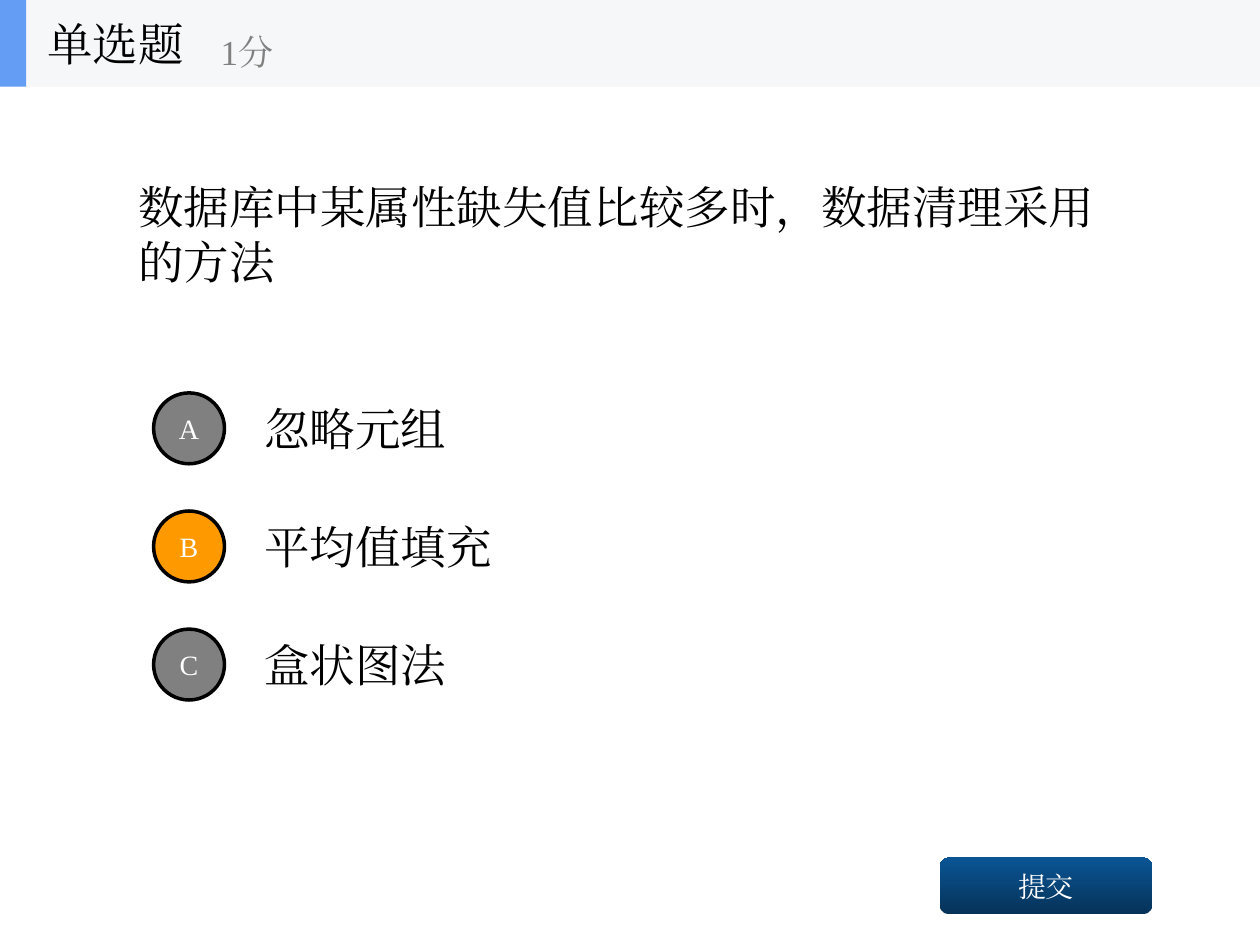
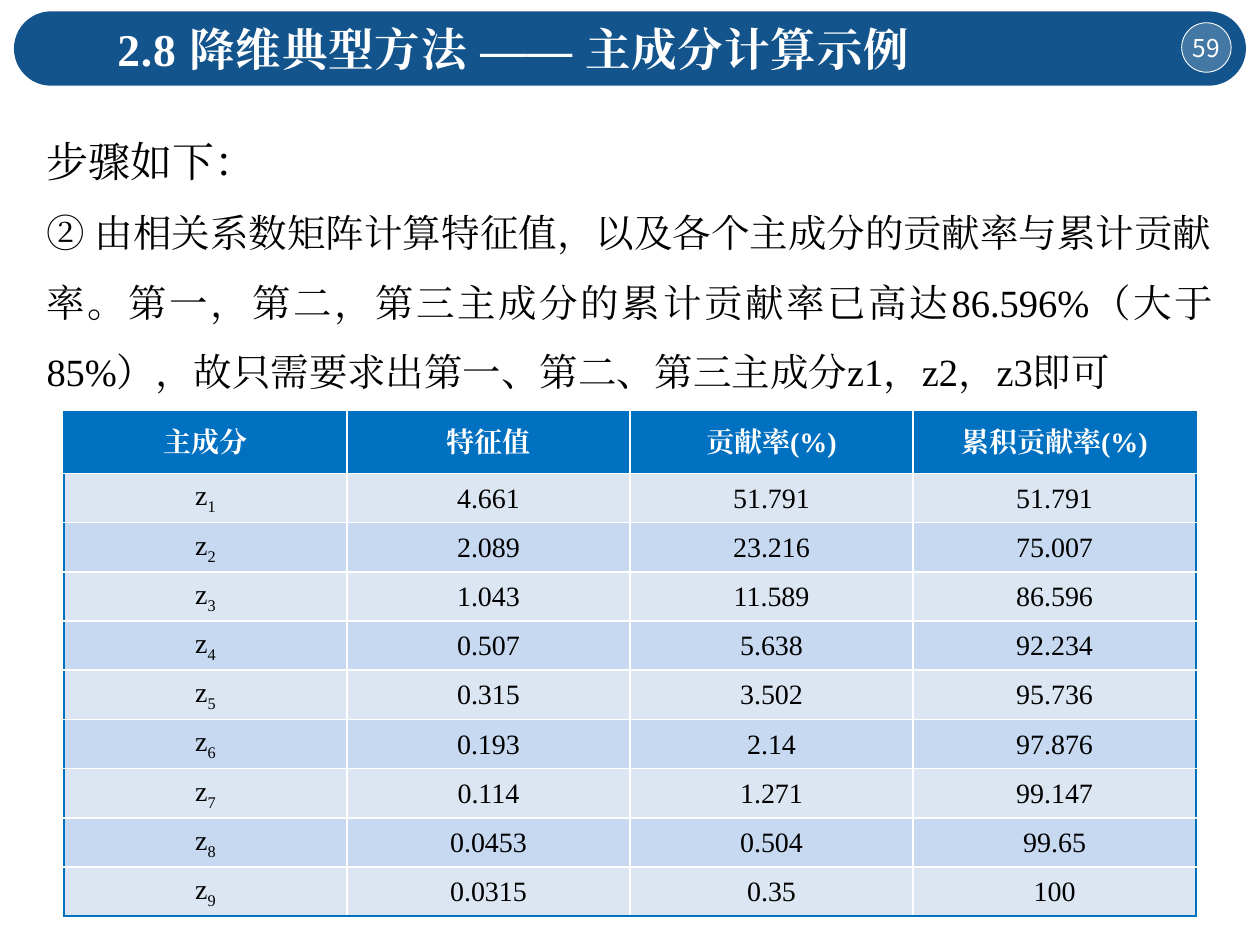
from lxml.etree import SubElement
from pptx import Presentation
from pptx.dml.color import RGBColor
from pptx.enum.lang import MSO_LANGUAGE_ID
from pptx.enum.shapes import MSO_SHAPE
from pptx.enum.text import MSO_ANCHOR, PP_ALIGN
from pptx.oxml import parse_xml
from pptx.oxml.ns import nsdecls, qn
from pptx.util import Pt

SERIF, SANS = "Times New Roman", "Noto Sans CJK SC"
BLACK, WHITE, GREY = "000000", "FFFFFF", "808080"
ORANGE, TABLE_BLUE, BAND_BLUE = "FF9900", "0070C0", "13548C"
STRIPES = ("DCE6F2", "C6D9F1")

QUESTION = "数据库中某属性缺失值比较多时，数据清理采用的方法"
OPTIONS = [("A", "忽略元组"), ("B", "平均值填充"), ("C", "盒状图法")]
ANSWER = "B"

TITLE = "2.8 降维典型方法 —— 主成分计算示例"
PAGE_NUMBER = "59"
STEPS = [
    ("步骤如下：", 24),
    ("② 由相关系数矩阵计算特征值，以及各个主成分的贡献率与累计贡献率。"
     "第一，第二，第三主成分的累计贡献率已高达86.596%（大于85%），"
     "故只需要求出第一、第二、第三主成分z1，z2，z3即可", 22),
]
HEADERS = ["主成分", "特征值", "贡献率(%)", "累积贡献率(%)"]
COMPONENTS = [
    ("4.661", "51.791", "51.791"),
    ("2.089", "23.216", "75.007"),
    ("1.043", "11.589", "86.596"),
    ("0.507", "5.638", "92.234"),
    ("0.315", "3.502", "95.736"),
    ("0.193", "2.14", "97.876"),
    ("0.114", "1.271", "99.147"),
    ("0.0453", "0.504", "99.65"),
    ("0.0315", "0.35", "100"),
]


def rgb(color):
    return RGBColor.from_string(color)


def add_span(para, text, size, color=BLACK, bold=False, font=SERIF):
    span = para.add_run()
    span.text = text
    span.font.size, span.font.bold, span.font.name = Pt(size), bold, font
    span.font.color.rgb = rgb(color)
    span.font.language_id = MSO_LANGUAGE_ID.SIMPLIFIED_CHINESE
    SubElement(span.font._element, qn("a:ea"), typeface=font)
    return span


def add_text(slide, area, text, size, color=BLACK, anchor=MSO_ANCHOR.MIDDLE, **style):
    box = slide.shapes.add_textbox(*map(Pt, area))
    box.text_frame.word_wrap = True
    box.text_frame.vertical_anchor = anchor
    return add_span(box.text_frame.paragraphs[0], text, size, color, **style)


def add_block(slide, kind, area, fill=None, line=None, line_width=1):
    block = slide.shapes.add_shape(kind, *map(Pt, area))
    block.shadow.inherit = False
    if fill:
        block.fill.solid()
        block.fill.fore_color.rgb = rgb(fill)
    if line:
        block.line.color.rgb = rgb(line)
        block.line.width = Pt(line_width)
    else:
        block.line.fill.background()
    return block


def add_label(block, text, size, font=SERIF):
    """Centre white text inside a block."""
    block.text_frame.vertical_anchor = MSO_ANCHOR.MIDDLE
    para = block.text_frame.paragraphs[0]
    para.alignment = PP_ALIGN.CENTER
    add_span(para, text, size, WHITE, font=font)


def set_borders(cell, colors):
    """Draw left, right, top and bottom borders in the given colours."""
    for place, (side, color) in enumerate(zip("LRTB", colors)):
        cell._tc.get_or_add_tcPr().insert(place, parse_xml(
            f'<a:ln{side} {nsdecls("a")} w="{Pt(1)}"><a:solidFill>'
            f'<a:srgbClr val="{color}"/></a:solidFill></a:ln{side}>'))


def build_quiz(slide):
    add_text(slide, (72, 49.5, 576, 168.5), QUESTION, 26)
    for index, (letter, answer) in enumerate(OPTIONS):
        top = 219.5 + index * 67.5
        add_text(slide, (144, top, 504, 50.5), answer, 26)
        badge = add_block(slide, MSO_SHAPE.OVAL, (87.75, top + 5, 40.5, 40.5),
                          ORANGE if letter == ANSWER else GREY, BLACK, 2)
        add_label(badge, letter, 16)

    button = add_block(slide, MSO_SHAPE.ROUNDED_RECTANGLE, (537, 490, 121.5, 32.5))
    button.fill.gradient()
    button.fill.gradient_angle = 90
    for stop, color in zip(button.fill.gradient_stops, ("063258", "0A5595")):
        stop.color.rgb = rgb(color)
    add_label(button, "提交", 16)

    add_block(slide, MSO_SHAPE.RECTANGLE, (0, 0, 720, 49.5), "F6F7F8")
    add_block(slide, MSO_SHAPE.RECTANGLE, (0, 0, 15, 49.5), "639EF4")
    add_text(slide, (20, 0, 150, 49.5), "单选题", 26)
    add_text(slide, (119, 9, 180, 40.5), "1分", 20, GREY)


def add_title_band(slide):
    band = add_block(slide, MSO_SHAPE.ROUNDED_RECTANGLE, (8, 6.5, 704, 42.5), BAND_BLUE)
    band.adjustments[0] = 0.5
    badge = add_block(slide, MSO_SHAPE.OVAL, (675.25, 13, 28.25, 28.25), WHITE, WHITE, 0.5)
    tint = badge.fill._xPr.find(qn("a:solidFill"))[0]
    SubElement(tint, qn("a:alpha"), val="21000")
    frame = badge.text_frame
    frame.margin_left = frame.margin_right = frame.margin_top = frame.margin_bottom = 0
    add_label(badge, PAGE_NUMBER, 14, SANS)
    title = add_text(slide, (60, 8.75, 582, 39), TITLE, 26, WHITE, MSO_ANCHOR.TOP, bold=True)
    title.font._element.set("spc", "50")


def add_steps(slide):
    box = slide.shapes.add_textbox(Pt(19.5), Pt(59.75), Pt(680.5), Pt(166.5))
    frame = box.text_frame
    frame.word_wrap = True
    for index, (text, size) in enumerate(STEPS):
        para = frame.add_paragraph() if index else frame.paragraphs[0]
        para.alignment = PP_ALIGN.JUSTIFY
        para.line_spacing = 1.5
        add_span(para, text, size)


def add_component_table(slide):
    rows = [HEADERS] + [(f"z{number}", *values)
                        for number, values in enumerate(COMPONENTS, 1)]
    last_row, last_column = len(rows) - 1, len(HEADERS) - 1
    table = slide.shapes.add_table(len(rows), len(HEADERS), Pt(36.5), Pt(235.25),
                                   Pt(647), Pt(288.5)).table
    for column in table.columns:
        column.width = Pt(161.75)
    for r, row in enumerate(rows):
        table.rows[r].height = Pt(28.14 if r else 35.25)
        for c, text in enumerate(row):
            cell = table.cell(r, c)
            cell.vertical_anchor = MSO_ANCHOR.MIDDLE
            cell.margin_left = cell.margin_right = cell.margin_top = Pt(0.75)
            cell.margin_bottom = 0
            cell.fill.solid()
            cell.fill.fore_color.rgb = rgb(STRIPES[(r - 1) % 2] if r else TABLE_BLUE)
            on_edge = (c == 0, c == last_column, r == 0, r == last_row)
            set_borders(cell, [TABLE_BLUE if edge else WHITE for edge in on_edge])
            para = cell.text_frame.paragraphs[0]
            para.alignment = PP_ALIGN.CENTER
            if r == 0:
                add_span(para, text, 16, WHITE, bold=True)
            elif c == 0:
                add_span(para, text[0], 16)
                add_span(para, text[1:], 16).font._element.set("baseline", "-25000")
            else:
                add_span(para, text, 16)


def build_example(slide):
    add_title_band(slide)
    add_steps(slide)
    add_component_table(slide)


def main():
    deck = Presentation()
    deck.slide_width, deck.slide_height = Pt(720), Pt(540)
    for build in (build_quiz, build_example):
        build(deck.slides.add_slide(deck.slide_layouts[6]))
    deck.save("out.pptx")


if __name__ == "__main__":
    main()
